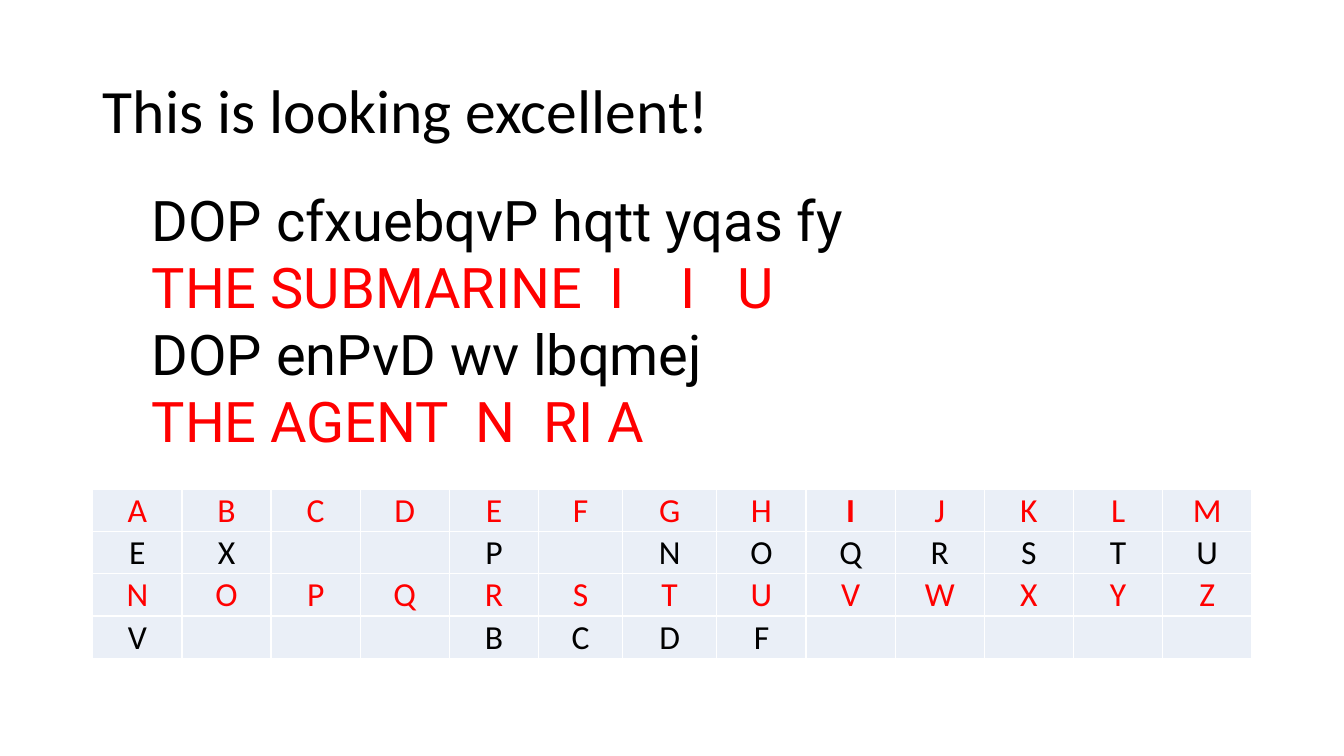
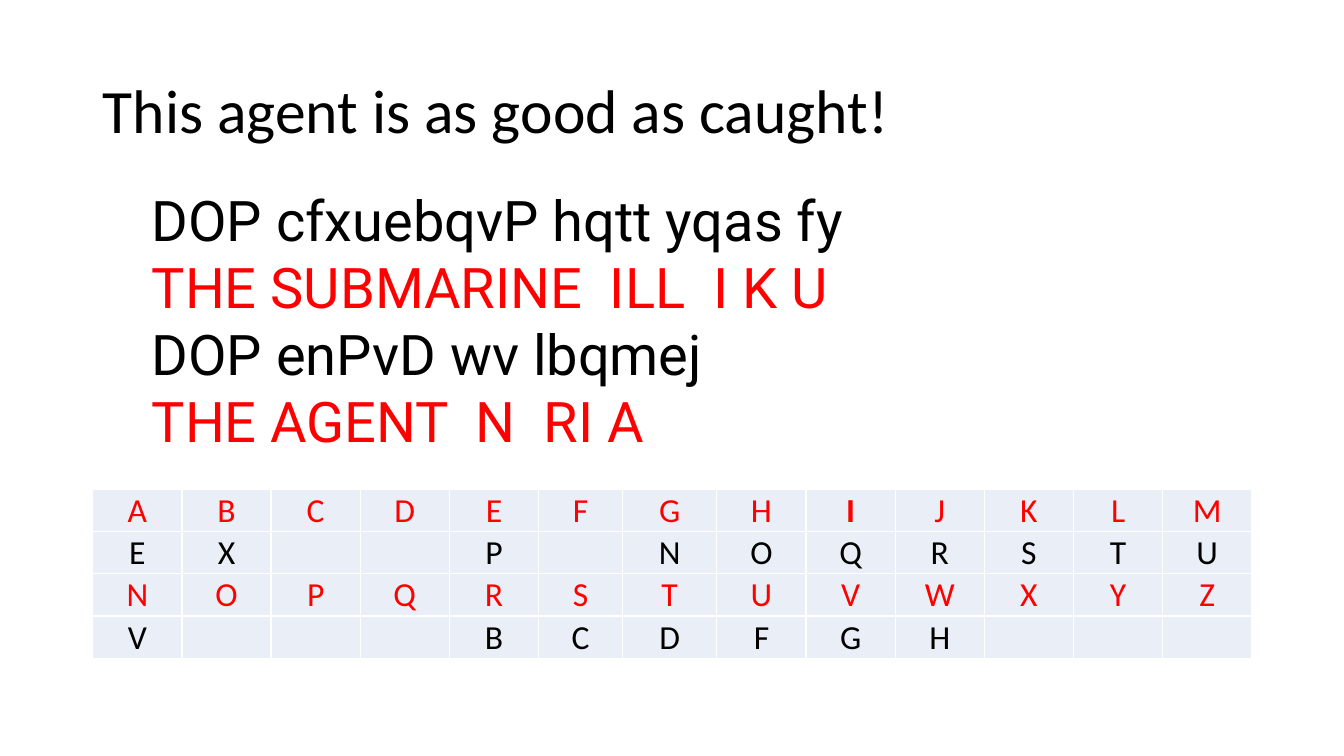
from pptx import Presentation
from pptx.dml.color import RGBColor
from pptx.enum.text import MSO_ANCHOR, MSO_AUTO_SIZE, PP_ALIGN
from pptx.util import Inches, Pt

COLOURS = {"cipher": "000000", "plain": "FF0000", "cell": "EAEFF7", "page": "FFFFFF"}
TITLE_FONT, MESSAGE_FONT = "Calibri", "Roboto"

# Grid: one column per letter of half the alphabet, one row per table row
MARGIN, COLUMN, ROW = 0.92, 11.5 / 13, 0.42
# Columns F and G share their width unevenly
COLUMN_WIDTHS = {"F": 0.94, "G": 1.06}


def colour(name):
    return RGBColor.from_string(COLOURS[name])


def columns(count):
    return Inches(count * COLUMN)


def rows(count):
    return Inches(count * ROW)


class CipherDeck:
    def __init__(self):
        self.deck = Presentation()
        self.deck.slide_width, self.deck.slide_height = Inches(13.33), Inches(7.5)
        self.slide = None

    def place(self, column, row, width, height):
        return Inches(MARGIN) + columns(column), rows(row), columns(width), rows(height)

    def style(self, paragraph, font, size, ink, bold=False, align=PP_ALIGN.LEFT):
        paragraph.alignment = align
        paragraph.font.name = font
        paragraph.font.size = Pt(size)
        paragraph.font.bold = bold
        paragraph.font.color.rgb = colour(ink)

    def start_slide(self, text):
        self.slide = self.deck.slides.add_slide(self.deck.slide_layouts[5])
        background = self.slide.background.fill
        background.solid()
        background.fore_color.rgb = colour("page")
        title = self.slide.shapes.title
        title.left, title.top, title.width, title.height = self.place(0, 0.95, 13, 3.45)
        title.text = text
        title.text_frame.vertical_anchor = MSO_ANCHOR.MIDDLE
        paragraph = title.text_frame.paragraphs[0]
        self.style(paragraph, TITLE_FONT, 44, "cipher")
        paragraph.line_spacing = 0.9

    def message(self, lines):
        """Cipher lines alternate with their decoded lines."""
        box = self.slide.shapes.add_textbox(*self.place(0.55, 4.26, 11, 6.64))
        frame = box.text_frame
        frame.word_wrap = True
        frame.auto_size = MSO_AUTO_SIZE.SHAPE_TO_FIT_TEXT
        frame.text = "\n".join(lines)
        for number, paragraph in enumerate(frame.paragraphs):
            self.style(paragraph, MESSAGE_FONT, 40, "plain" if number % 2 else "cipher")

    def key_table(self, letter_rows):
        """Plain letters alternate with their cipher letters; a space is unsolved."""
        table = self.slide.shapes.add_table(
            len(letter_rows), 13, *self.place(0, 11.55, 13, len(letter_rows))).table
        table.first_row = table.horz_banding = False
        for letter, column in zip(letter_rows[0], table.columns):
            column.width = columns(COLUMN_WIDTHS.get(letter, 1))
        for r, letters in enumerate(letter_rows):
            for c, letter in enumerate(letters):
                self.key_cell(table.cell(r, c), letter.strip(),
                              "cipher" if r % 2 else "plain", letter == "I")

    def key_cell(self, cell, letter, ink, bold):
        cell.fill.solid()
        cell.fill.fore_color.rgb = colour("cell")
        cell.margin_left = cell.margin_right = cell.margin_top = Inches(0.01)
        cell.margin_bottom = 0
        cell.vertical_anchor = MSO_ANCHOR.BOTTOM
        cell.text = letter
        self.style(cell.text_frame.paragraphs[0], TITLE_FONT, 24, ink, bold, PP_ALIGN.CENTER)


# Each step: title, decoded first line, cipher letters known for N to Z
STEPS = [
    ("This is looking excellent!", "THE SUBMARINE  I    I   U", "V   BCDF     "),
    ("This agent is as good as caught!", "THE SUBMARINE  ILL  I K U", "V   BCDFGH   "),
]


def main():
    cipher = CipherDeck()
    for title, decoded, second_half in STEPS:
        cipher.start_slide(title)
        cipher.key_table(["ABCDEFGHIJKLM", "EX  P NOQRSTU", "NOPQRSTUVWXYZ", second_half])
        cipher.message(["DOP cfxuebqvP hqtt yqas fy", decoded,
                        "DOP enPvD wv lbqmej", "THE AGENT  N  RI A"])
    cipher.deck.save("out.pptx")


if __name__ == "__main__":
    main()
